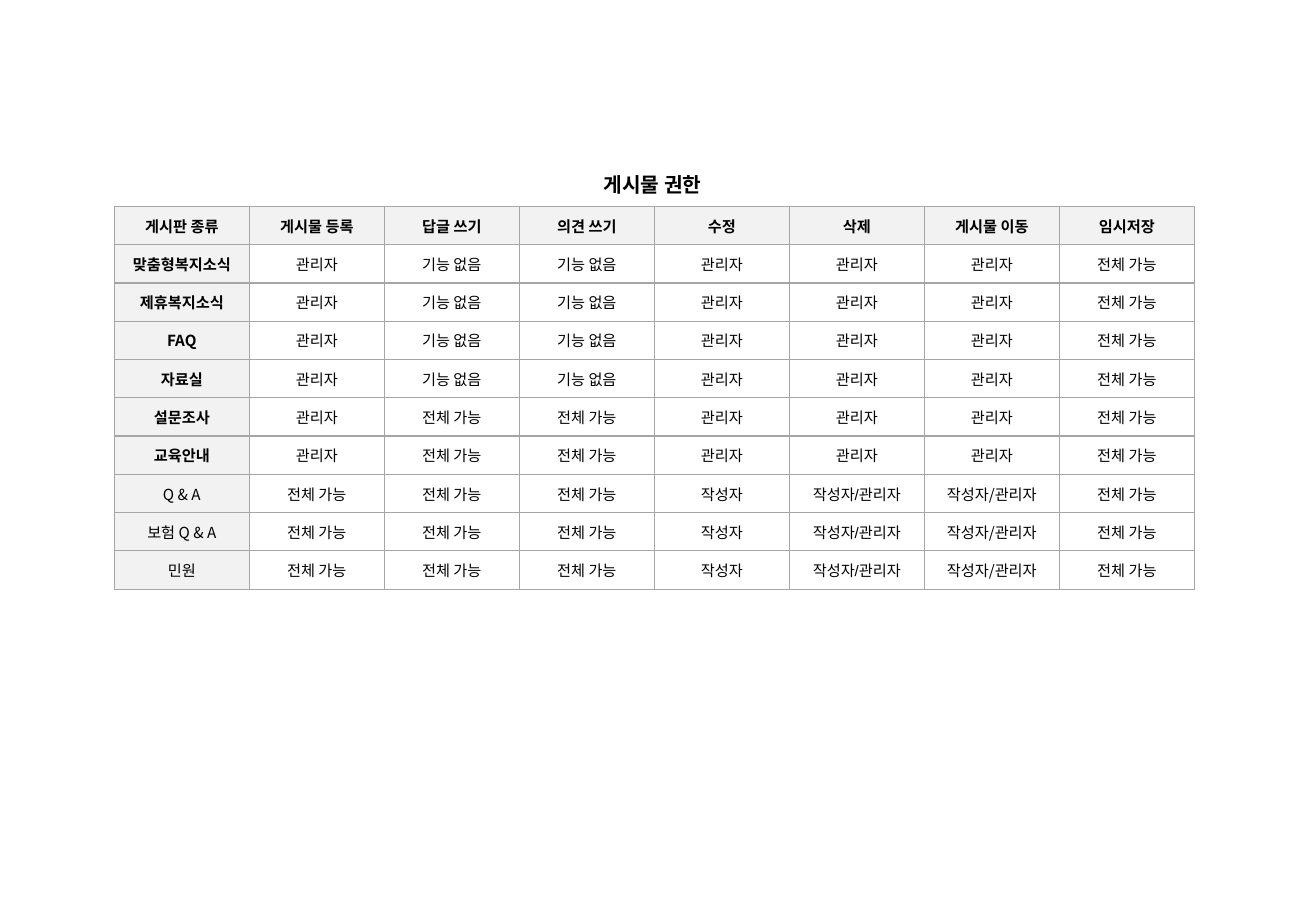
from typing import NamedTuple

from lxml import etree
from pptx import Presentation
from pptx.dml.color import RGBColor
from pptx.enum.text import MSO_ANCHOR, MSO_AUTO_SIZE, PP_ALIGN
from pptx.oxml.ns import qn
from pptx.util import Inches, Pt

MIDDLE = MSO_ANCHOR.MIDDLE
GROW = MSO_AUTO_SIZE.SHAPE_TO_FIT_TEXT
CENTER = PP_ALIGN.CENTER
LATIN = "Arial"
HANGUL = "Noto Sans CJK KR"
BLACK, WHITE, SHADE, RULE = "000000", "FFFFFF", "F2F2F2", "A6A6A6"
ADMIN, AUTHOR, BOTH = "관리자", "작성자", "작성자/관리자"
NONE, ALL = "기능 없음", "전체 가능"
MOVE = 6


class Board(NamedTuple):
    name: str
    rights: tuple[str, ...]
    bold: bool = True


class Style(NamedTuple):
    face: str
    size: float
    bold: bool


HEADS = ("게시판 종류", "게시물 등록", "답글 쓰기", "의견 쓰기",
         "수정", "삭제", "게시물 이동", "임시저장")
CLOSED = (ADMIN, NONE, NONE, ADMIN, ADMIN, ADMIN, ALL)
REPLY = (ADMIN, ALL, ALL, ADMIN, ADMIN, ADMIN, ALL)
OPEN = (ALL, ALL, ALL, AUTHOR, BOTH, BOTH, ALL)
BOARDS = (
    Board("맞춤형복지소식", CLOSED),
    Board("제휴복지소식", CLOSED),
    Board("FAQ", CLOSED),
    Board("자료실", CLOSED),
    Board("설문조사", REPLY),
    Board("교육안내", REPLY),
    Board("Q & A", OPEN, False),
    Board("보험 Q & A", OPEN, False),
    Board("민원", OPEN, False),
)


def color(code: str) -> RGBColor:
    return RGBColor.from_string(code)


def write(para, text: str, style: Style) -> None:
    para.text = text
    font = para.font
    font.size = Pt(style.size)
    font.bold = style.bold
    font.color.rgb = color(BLACK)
    font.name = style.face
    props = para._p.pPr.find(qn("a:defRPr"))
    etree.SubElement(props, qn("a:ea"), typeface=HANGUL)


def border(cell) -> None:
    props = cell._tc.get_or_add_tcPr()
    for spot, side in enumerate(("L", "R", "T", "B")):
        line = etree.Element(qn(f"a:ln{side}"), w=str(Pt(0.75)))
        fill = etree.SubElement(line, qn("a:solidFill"))
        etree.SubElement(fill, qn("a:srgbClr"), val=RULE)
        props.insert(spot, line)


def draw_cell(cell, text: str, style: Style, shade: str, snug: bool) -> None:
    cell.fill.solid()
    cell.fill.fore_color.rgb = color(shade)
    border(cell)
    cell.vertical_anchor = MIDDLE
    if snug:
        cell.margin_left = cell.margin_right = Inches(0.04)
        cell.margin_top = cell.margin_bottom = 0
    para = cell.text_frame.paragraphs[0]
    para.alignment = CENTER
    write(para, text, style)


def draw_table(slide) -> None:
    frame = slide.shapes.add_table(len(BOARDS) + 1, len(HEADS), Inches(0.94),
                                   Inches(1.7), Inches(8.89), Inches(3.15))
    table = frame.table
    table.first_row = table.horz_banding = False
    for col, head in enumerate(HEADS):
        draw_cell(table.cell(0, col), head, Style(LATIN, 9, True), SHADE, False)
    for row, board in enumerate(BOARDS, 1):
        for col, text in enumerate((board.name, *board.rights)):
            first = col == 0
            face = HANGUL if first or col == MOVE or text == ADMIN else LATIN
            style = Style(face, 9, first and board.bold)
            snug = first or (col == 1 and text == ADMIN)
            draw_cell(table.cell(row, col), text, style,
                      SHADE if first else WHITE, snug)


def draw_title(slide) -> None:
    box = slide.shapes.add_textbox(Inches(4.87), Inches(1.31),
                                   Inches(1.1), Inches(0.33))
    frame = box.text_frame
    frame.word_wrap = False
    frame.auto_size = GROW
    para = frame.paragraphs[0]
    para.line_spacing = 1.3
    write(para, "게시물 권한", Style(HANGUL, 12, True))


deck = Presentation()
deck.slide_width = Inches(10.83)
deck.slide_height = Inches(7.5)
page = deck.slides.add_slide(deck.slide_layouts[6])
draw_table(page)
draw_title(page)
deck.save("out.pptx")
